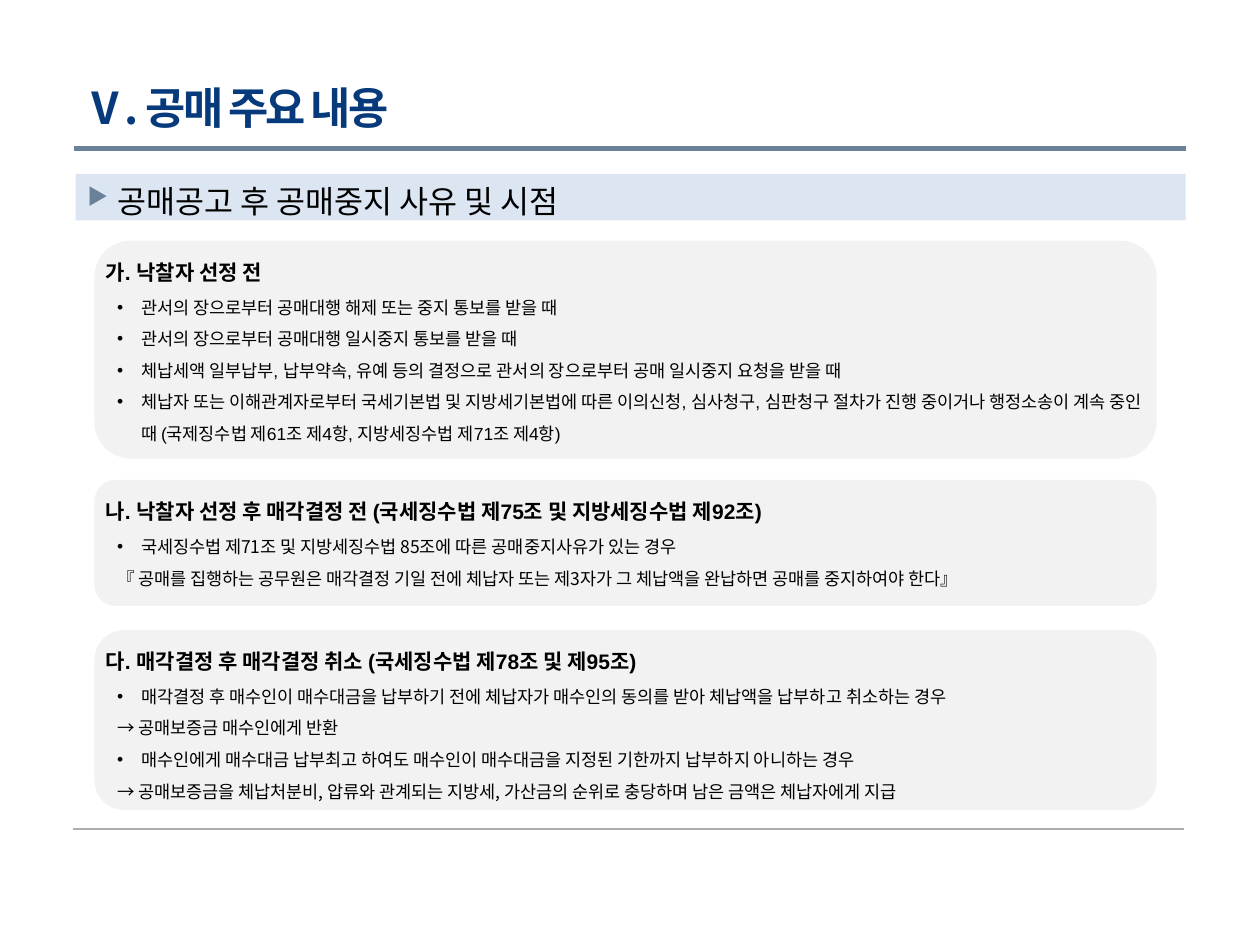
from lxml import etree
from pptx import Presentation
from pptx import util as u
from pptx.dml.color import RGBColor
from pptx.enum import shapes, text
from pptx.oxml import ns

COLORS = {"navy": "063A7A", "steel": "698299", "rule": "AEADB0",
          "band": "DCE6F2", "card": "F2F2F2", "ink": "000000"}
NOTO, ARIAL = "Noto Sans CJK KR", "Arial"
HANG = 0.19

# Top, height, heading, list font, list lines (bulleted or not)
CARDS = [
    (1.91, 1.73, "가. 낙찰자 선정 전", ARIAL, [
        (True, "관서의 장으로부터 공매대행 해제 또는 중지 통보를 받을 때"),
        (True, "관서의 장으로부터 공매대행 일시중지 통보를 받을 때"),
        (True, "체납세액 일부납부, 납부약속, 유예 등의 결정으로 관서의 장으로부터 "
               "공매 일시중지 요청을 받을 때"),
        (True, "체납자 또는 이해관계자로부터 국세기본법 및 지방세기본법에 따른 이의신청, "
               "심사청구, 심판청구 절차가 진행 중이거나 행정소송이 계속 중인 때 "
               "(국제징수법 제61조 제4항, 지방세징수법 제71조 제4항)")]),
    (3.81, 1, "나. 낙찰자 선정 후 매각결정 전 (국세징수법 제75조 및 지방세징수법 제92조)", NOTO, [
        (True, "국세징수법 제71조 및 지방세징수법 85조에 따른 공매중지사유가 있는 경우"),
        (False, "『 공매를 집행하는 공무원은 매각결정 기일 전에 체납자 또는 제3자가 "
                "그 체납액을 완납하면 공매를 중지하여야 한다』")]),
    (5, 1.43, "다. 매각결정 후 매각결정 취소 (국세징수법 제78조 및 제95조)", NOTO, [
        (True, "매각결정 후 매수인이 매수대금을 납부하기 전에 체납자가 매수인의 동의를 받아 "
               "체납액을 납부하고 취소하는 경우"),
        (False, "→ 공매보증금 매수인에게 반환"),
        (True, "매수인에게 매수대금 납부최고 하여도 매수인이 매수대금을 지정된 기한까지 "
               "납부하지 아니하는 경우"),
        (False, "→ 공매보증금을 체납처분비, 압류와 관계되는 지방세, 가산금의 순위로 "
                "충당하며 남은 금액은 체납자에게 지급")]),
]


def place(shape, box):
    shape.left, shape.top, shape.width, shape.height = map(u.Inches, box)


def write(shape, lines, size, font=NOTO, color="ink", bold=False,
          space=1.0, track=0, wrap=True, anchor=text.MSO_ANCHOR.TOP):
    """Fill a shape with (bulleted, words) lines in one format."""
    frame = shape.text_frame
    frame.auto_size = text.MSO_AUTO_SIZE.NONE
    frame.word_wrap = wrap
    frame.vertical_anchor = anchor
    for n, (dot, words) in enumerate(lines):
        para = frame.add_paragraph() if n else frame.paragraphs[0]
        props = para._p.get_or_add_pPr()
        hang = u.Inches(HANG) if dot else 0
        props.set("marL", str(hang))
        props.set("indent", str(-hang))
        mark = etree.SubElement(props, ns.qn("a:buChar" if dot else "a:buNone"))
        if dot:
            mark.set("char", "•")
        para.alignment = text.PP_ALIGN.LEFT
        para.line_spacing = space
        para.space_before = para.space_after = u.Pt(0)
        run = para.add_run()
        run.text = words
        run.font.size, run.font.bold, run.font.name = u.Pt(size), bold, font
        run.font.color.rgb = RGBColor.from_string(COLORS[color])
        look = run._r.get_or_add_rPr()
        look.set("spc", str(int(track * 100)))
        east = etree.Element(ns.qn("a:ea"), typeface=NOTO)
        look.find(ns.qn("a:latin")).addnext(east)


def label(slide, box, words, size, **form):
    shape = slide.shapes.add_textbox(*map(u.Inches, box))
    write(shape, [(False, words)], size, **form)


def panel(slide, kind, box, color):
    """Add a plain filled shape behind the placeholders."""
    shape = slide.shapes.add_shape(kind, *map(u.Inches, box))
    shape.shadow.inherit = False
    shape.fill.solid()
    shape.fill.fore_color.rgb = RGBColor.from_string(COLORS[color])
    shape.line.fill.background()
    slide.shapes._spTree.insert(2, shape._element)


def rule(slide, x, y, width, color, weight):
    line = slide.shapes.add_connector(
        shapes.MSO_CONNECTOR.STRAIGHT, *map(u.Inches, (x, y, x + width, y)))
    line.line.color.rgb = RGBColor.from_string(COLORS[color])
    line.line.width = u.Pt(weight)
    etree.SubElement(line._element.spPr, ns.qn("a:effectLst"))


def header(slide, box):
    x, y, width, height = box
    place(slide.shapes.title, (x, y, 2.74, height))
    write(slide.shapes.title, [(False, "Ⅴ. 공매 주요 내용")], 25, color="navy",
          bold=True, track=-1.5, wrap=False, anchor=text.MSO_ANCHOR.MIDDLE)
    rule(slide, x + 0.03, y + height + 0.07, width, "steel", 3)


def banner(slide, body, box):
    x, y, width, height = box
    panel(slide, shapes.MSO_SHAPE.RECTANGLE, box, "band")
    place(body, (x + 0.23, y - 0.02, width - 0.23, height + 0.04))
    write(body, [(False, "공매공고 후 공매중지 사유 및 시점")], 18, space=u.Pt(24))
    label(slide, (x, y + 0.03, 0.46, 0.3), "▶", 12, color="steel",
          bold=True, track=-2)


def card(slide, body, box, head, font, lines):
    x, y, width, height = box
    panel(slide, shapes.MSO_SHAPE.ROUNDED_RECTANGLE, box, "card")
    label(slide, (x - 0.01, y, width, 0.4), head, 12, font=ARIAL,
          bold=True, space=1.5)
    place(body, (x + 0.08, y + 0.31, width - 0.09, height - 0.34))
    write(body, lines, 10, font=font, space=1.5)


def main():
    deck = Presentation()
    deck.slide_width, deck.slide_height = u.Inches(10), u.Inches(7.5)
    # The comparison layout has a title and four bodies
    slide = deck.slides.add_slide(deck.slide_layouts[4])
    bodies = list(slide.placeholders)[1:]

    header(slide, (0.56, 0.59, 8.82, 0.52))
    banner(slide, bodies[0], (0.6, 1.38, 8.81, 0.37))
    for body, (top, height, head, font, lines) in zip(bodies[1:], CARDS):
        card(slide, body, (0.75, top, 8.43, height), head, font, lines)
    # Footer line
    rule(slide, 0.58, 6.58, 8.82, "rule", 1)
    deck.save("out.pptx")


if __name__ == "__main__":
    main()
